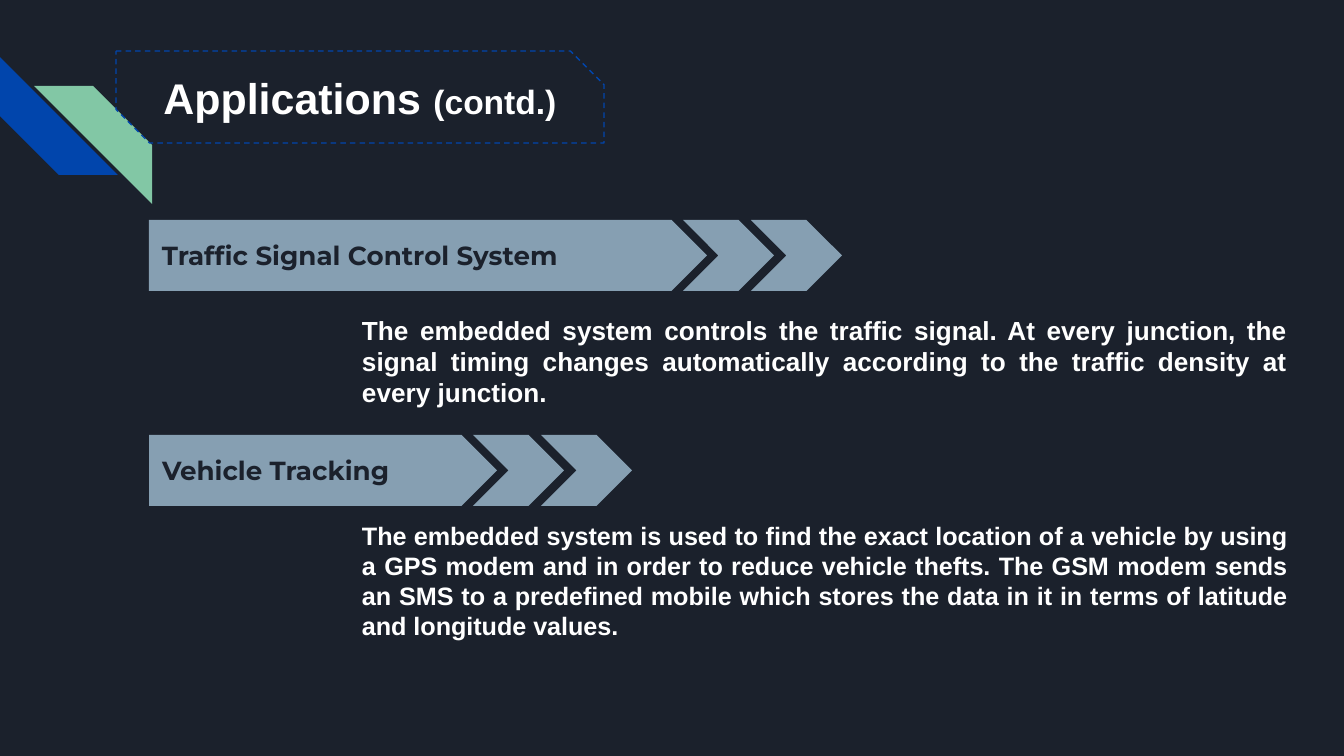
from pptx import Presentation
from pptx.dml.color import RGBColor
from pptx.enum.dml import MSO_LINE
from pptx.enum.shapes import MSO_SHAPE
from pptx.enum.text import MSO_ANCHOR, MSO_AUTO_SIZE, PP_ALIGN
from pptx.util import Pt

SCALE = 914400 / 134.4
NAVY = RGBColor(0x1B, 0x21, 0x2C)
BLUE = RGBColor(0x01, 0x45, 0xAC)
GREEN = RGBColor(0x82, 0xC7, 0xA5)
STEEL = RGBColor(0x86, 0x9F, 0xB2)
WHITE = RGBColor(0xFF, 0xFF, 0xFF)

STRIPE = MSO_SHAPE.DIAGONAL_STRIPE
SNIPPED = MSO_SHAPE.SNIP_2_DIAG_RECTANGLE
PLATE = MSO_SHAPE.PENTAGON
CHEVRON = MSO_SHAPE.CHEVRON
DASH = MSO_LINE.DASH
TOP = MSO_ANCHOR.TOP
MIDDLE = MSO_ANCHOR.MIDDLE
LEFT = PP_ALIGN.LEFT
CENTER = PP_ALIGN.CENTER
JUSTIFY = PP_ALIGN.JUSTIFY
NO_FIT = MSO_AUTO_SIZE.NONE

APPLICATIONS = [
    (220, 558, "Traffic Signal Control System", 81, 14,
     "The embedded system controls the traffic signal. At every junction, "
     "the signal timing changes automatically according to the traffic "
     "density at every junction."),
    (435, 348, "Vehicle Tracking", 72, 13.5,
     "The embedded system is used to find the exact location of a vehicle "
     "by using a GPS modem and in order to reduce vehicle thefts. The GSM "
     "modem sends an SMS to a predefined mobile which stores the data in it "
     "in terms of latitude and longitude values."),
]


def px(length):
    return round(length * SCALE)


def emu_box(*box):
    return [px(length) for length in box]


def add_filled(shapes, preset, box, color):
    shape = shapes.add_shape(preset, *emu_box(*box))
    shape.shadow.inherit = False
    shape.fill.solid()
    shape.fill.fore_color.rgb = color
    shape.line.fill.background()
    return shape


def format_frame(frame, anchor, align):
    frame.auto_size = NO_FIT
    frame.word_wrap = True
    frame.vertical_anchor = anchor
    frame.margin_left = frame.margin_right = px(13)
    frame.margin_top = frame.margin_bottom = px(13)
    frame.paragraphs[0].alignment = align


def format_run(run, font_name, size, color):
    run.font.name = font_name
    run.font.size = Pt(size)
    run.font.bold = True
    run.font.color.rgb = color


def add_corner_stripes(slide, left, top, side):
    for dx, dy, rotation, color in ((0, 0, 270, BLUE), (34, 29, 90, GREEN)):
        box = (left + dx, top + dy, side, side)
        stripe = add_filled(slide.shapes, STRIPE, box, color)
        stripe.adjustments[0] = 0.5
        stripe.rotation = rotation


def add_title(slide, left, top, width, height):
    box = emu_box(left, top, width, height)
    border = slide.shapes.add_shape(SNIPPED, *box)
    border.shadow.inherit = False
    border.adjustments[0] = 0
    border.adjustments[1] = 0.365
    border.fill.background()
    border.line.color.rgb = BLUE
    border.line.width = Pt(0.75)
    border.line.dash_style = DASH

    title = slide.shapes.title
    title.left, title.top, title.width, title.height = box
    paragraph = title.text_frame.paragraphs[0]
    for words, size in (("Applications ", 23), ("(contd.)", 18)):
        run = paragraph.add_run()
        run.text = words
        format_run(run, "Arial", size, WHITE)
    format_frame(title.text_frame, MIDDLE, CENTER)


def add_banner(slide, left, top, width, height, heading):
    group = slide.shapes.add_group_shape()
    plate = add_filled(group.shapes, PLATE, (left, top, width, height), STEEL)
    plate.text_frame.text = heading
    format_frame(plate.text_frame, MIDDLE, LEFT)
    format_run(plate.text_frame.paragraphs[0].runs[0], "Montserrat", 14, NAVY)
    for index in range(2):
        chevron_left = left + width - 24 + 68 * index
        add_filled(group.shapes, CHEVRON, (chevron_left, top, 91, height), STEEL)


def add_description(slide, left, top, width, height, words, size):
    description = slide.shapes.add_textbox(*emu_box(left, top, width, height))
    frame = description.text_frame
    frame.text = words
    format_frame(frame, TOP, JUSTIFY)
    frame.paragraphs[0].space_after = Pt(18)
    format_run(frame.paragraphs[0].runs[0], "Arial", size, WHITE)


def main():
    deck = Presentation()
    deck.slide_width, deck.slide_height = px(1344), px(756)
    slide = deck.slides.add_slide(deck.slide_layouts[5])
    slide.background.fill.solid()
    slide.background.fill.fore_color.rgb = NAVY

    add_corner_stripes(slide, 0, 57, 118)
    add_title(slide, 116, 51, 488, 92)
    for top, width, heading, drop, size, words in APPLICATIONS:
        add_banner(slide, 149, top, width, 71, heading)
        add_description(slide, 349, top + drop, 952, 121, words, size)
    deck.save("out.pptx")


if __name__ == "__main__":
    main()
